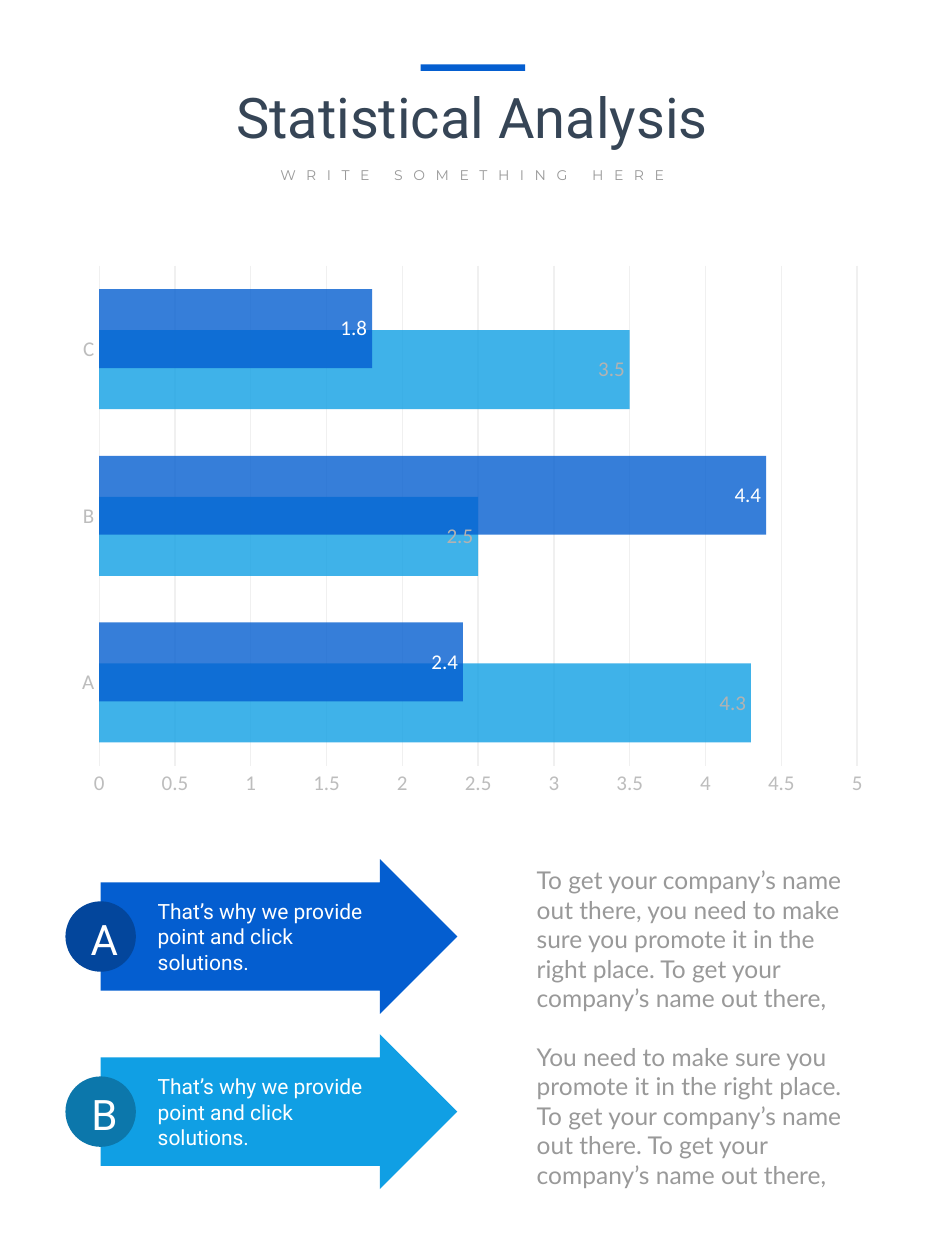
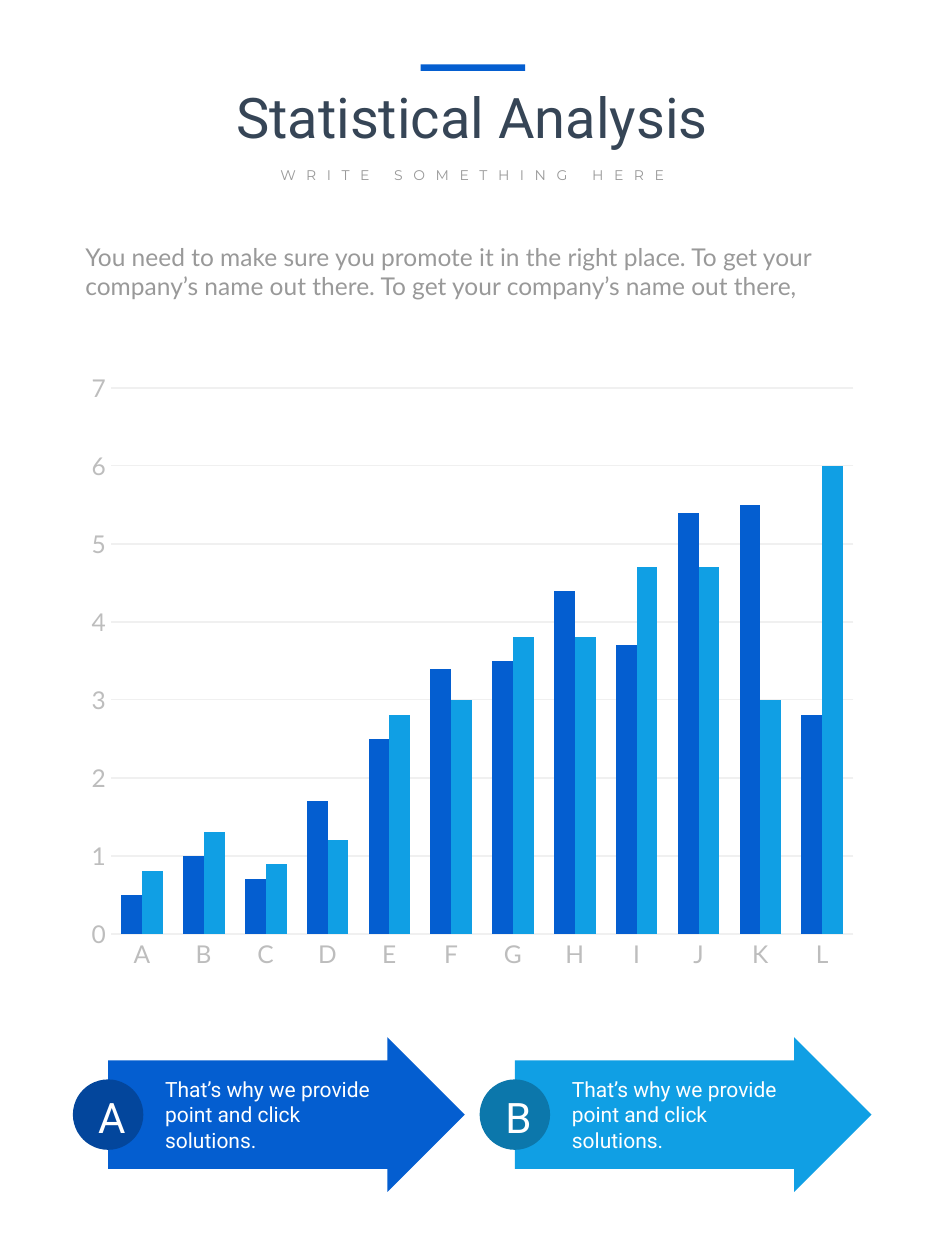
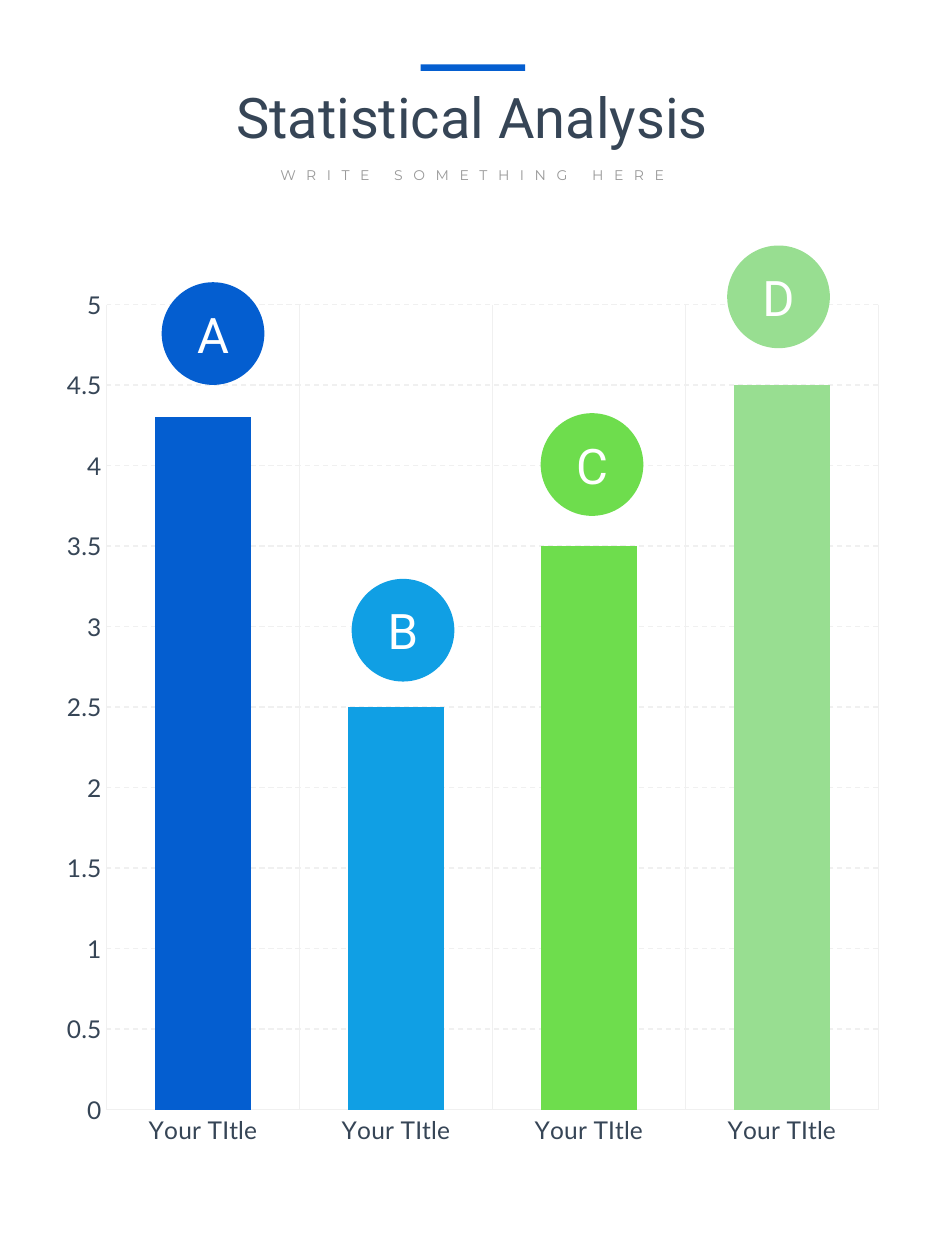
from lxml.etree import SubElement
from pptx import Presentation
from pptx.chart.data import CategoryChartData
from pptx.dml.color import RGBColor
from pptx.enum.chart import XL_CHART_TYPE, XL_LABEL_POSITION, XL_TICK_MARK
from pptx.enum.dml import MSO_LINE
from pptx.enum.shapes import MSO_SHAPE
from pptx.enum.text import MSO_ANCHOR, MSO_AUTO_SIZE, PP_ALIGN
from pptx.oxml import parse_xml
from pptx.oxml.ns import nsdecls, qn
from pptx.util import Cm, Pt

BLUE, SKY, GREEN, MINT = "045ED0", "109FE4", "6EDD4D", "98DE91"
NAVY, TEAL = "03469C", "0C77AB"
INK, GRAY, PALE, GRID, WHITE = "364556", "999999", "BDBDBD", "F0F0F0", "FFFFFF"

TITLE, SUBTITLE = "Statistical Analysis", "WRITE SOMETHING HERE"
SLOGAN = "That’s why we provide point and click solutions."
PROMOTE = ("To get your company’s name out there, you need to make sure you promote it "
           "in the right place. To get your company’s name out there,")
PLACE = ("You need to make sure you promote it in the right place. To get your company’s "
         "name out there. To get your company’s name out there,")
ARROW_STYLES = [("A", BLUE, NAVY), ("B", SKY, TEAL)]

BARS = dict(
    kind=XL_CHART_TYPE.BAR_CLUSTERED, cats="ABC",
    series=[(SKY, [4.3, 2.5, 3.5]), (BLUE, [2.4, 4.4, 1.8])],
    box=(1.32, 5.13, 16.41, 11.13), plot=(2, 5.36, 15.28, 10.08),
    top=5, step=0.5, gap=59, overlap=48, font="Calibri", size=12,
    opacity=80, labels=["B2B2B2", WHITE])
COLUMNS = dict(
    kind=XL_CHART_TYPE.COLUMN_CLUSTERED, cats="ABCDEFGHIJKL",
    series=[(BLUE, [0.5, 1, 0.7, 1.7, 2.5, 3.4, 3.5, 4.4, 3.7, 5.4, 5.5, 2.8]),
            (SKY, [0.8, 1.3, 0.9, 1.2, 2.8, 3, 3.8, 3.8, 4.7, 4.7, 3, 6])],
    box=(1.52, 7.29, 15.98, 12.5), plot=(2.24, 7.82, 14.96, 11.01),
    top=7, step=1, gap=97)
TITLED_COLUMNS = dict(
    kind=XL_CHART_TYPE.COLUMN_CLUSTERED, cats=["Your TItle"] * 4,
    series=[(BLUE, [4.3, 2.5, 3.5, 4.5])],
    box=(1.02, 5.49, 17.04, 17.96), plot=(2.15, 6.14, 15.56, 16.23),
    top=5, step=0.5, gap=101, overlap=100, color=INK,
    points=[BLUE, SKY, GREEN, MINT], grid_box=True)
BUBBLES = [("A", BLUE, 3.26, 5.69), ("B", SKY, 7.09, 11.67),
           ("C", GREEN, 10.9, 8.33), ("D", MINT, 14.66, 4.95)]


def rgb(color):
    return RGBColor.from_string(color)


def cm(values):
    return [Cm(v) for v in values]


def write(tf, *texts, size=14, font="Lato", color=GRAY, align=PP_ALIGN.LEFT,
          anchor=MSO_ANCHOR.TOP, wrap=True, spacing=None, gap=0, insets=None):
    tf.word_wrap = wrap
    tf.auto_size = MSO_AUTO_SIZE.NONE
    tf.vertical_anchor = anchor
    if insets:
        tf.margin_left, tf.margin_top, tf.margin_right, tf.margin_bottom = cm(insets)
    for i, text in enumerate(texts):
        p = tf.add_paragraph() if i else tf.paragraphs[0]
        p.alignment = align
        if i:
            p.space_before = Pt(gap)
        r = p.add_run()
        r.text = text
        r.font.size, r.font.name = Pt(size), font
        r.font.color.rgb = rgb(color)
        if spacing:
            r.font._element.set("spc", str(spacing * 100))


def add_text(shapes, box, *texts, **fmt):
    tb = shapes.add_textbox(*cm(box))
    write(tb.text_frame, *texts, **fmt)


def add_shape(shapes, preset, box, fill):
    sp = shapes.add_shape(preset, *cm(box))
    sp.shadow.inherit = False
    sp.fill.solid()
    sp.fill.fore_color.rgb = rgb(fill)
    sp.line.fill.background()
    return sp


def add_circle(shapes, letter, fill, x, y, diameter, size, insets):
    sp = add_shape(shapes, MSO_SHAPE.OVAL, (x, y, diameter, diameter), fill)
    write(sp.text_frame, letter, size=size, font="Roboto", color=WHITE,
          align=PP_ALIGN.CENTER, anchor=MSO_ANCHOR.MIDDLE, wrap=False, insets=insets)


def add_arrow(s, x, y, letter, fill, dark):
    shapes = s.shapes.add_group_shape().shapes
    sp = add_shape(shapes, MSO_SHAPE.RIGHT_ARROW, (x, y, 7.19, 3.12), fill)
    sp.adjustments[0], sp.adjustments[1] = 0.7, 0.5
    write(sp.text_frame, SLOGAN, size=12, font="Roboto", color=WHITE,
          anchor=MSO_ANCHOR.MIDDLE, insets=(1.15, 0, 0.78, 0))
    add_circle(shapes, letter, dark, x - 0.71, y + 0.85, 1.42, 24, (0.15, 0.1, 0, 0))


def add_titled_slide(prs):
    s = prs.slides.add_slide(prs.slide_layouts[5])
    title = s.shapes.title
    title.left, title.top, title.width, title.height = cm((4.01, 1.52, 11.02, 1.63))
    write(title.text_frame, TITLE, size=32, font="Roboto", color=INK,
          align=PP_ALIGN.CENTER, anchor=MSO_ANCHOR.MIDDLE)
    add_text(s.shapes, (5.18, 3.23, 8.69, 0.61), SUBTITLE, size=8, font="Montserrat",
             align=PP_ALIGN.CENTER, spacing=6)
    add_shape(s.shapes, MSO_SHAPE.RECTANGLE, (8.48, 1.3, 2.11, 0.13), BLUE)
    return s


def style_line(line, dash=None):
    line.color.rgb = rgb(GRID)
    line.width = Pt(0.75)
    if dash:
        line.dash_style = dash


def paint(fmt, color, opacity=100):
    fmt.fill.solid()
    fmt.fill.fore_color.rgb = rgb(color)
    if opacity < 100:
        clr = fmt._element.find(".//" + qn("a:srgbClr"))
        SubElement(clr, qn("a:alpha"), val=str(opacity * 1000))


def place_plot(chart, box, plot):
    area = chart._chartSpace.find(".//" + qn("c:plotArea"))
    for old in area.findall(qn("c:layout")):
        area.remove(old)
    x, y = (plot[0] - box[0]) / box[2], (plot[1] - box[1]) / box[3]
    w, h = plot[2] / box[2], plot[3] / box[3]
    parts = "".join(f'<c:{tag} val="{val}"/>' for tag, val in (
        ("layoutTarget", "inner"), ("xMode", "edge"), ("yMode", "edge"),
        ("x", x), ("y", y), ("w", w), ("h", h)))
    area.insert(0, parse_xml(f'<c:layout {nsdecls("c")}><c:manualLayout>{parts}'
                             '</c:manualLayout></c:layout>'))


def add_chart(s, kind, cats, series, box, plot, top, step, gap, overlap=0, font="Lato",
              size=14, color=PALE, opacity=100, labels=(), points=(), grid_box=False):
    data = CategoryChartData()
    data.categories = list(cats)
    for i, (_, values) in enumerate(series, 1):
        data.add_series(f"Series {i}", values)
    chart = s.shapes.add_chart(kind, *cm(box), data).chart
    chart.has_title = chart.has_legend = False
    chart.font.name, chart.font.size = font, Pt(size)
    chart.font.color.rgb = rgb(GRAY)
    place_plot(chart, box, plot)

    cat, val = chart.category_axis, chart.value_axis
    for axis in (cat, val):
        axis.major_tick_mark = axis.minor_tick_mark = XL_TICK_MARK.NONE
        axis.tick_labels.font.name = font
        axis.tick_labels.font.size = Pt(size)
        axis.tick_labels.font.color.rgb = rgb(color)
    style_line(cat.format.line)
    cat.has_major_gridlines = grid_box
    if grid_box:
        style_line(cat.major_gridlines.format.line)
    val.minimum_scale, val.maximum_scale, val.major_unit = 0, top, step
    val.format.line.fill.background()
    val.has_major_gridlines = True
    style_line(val.major_gridlines.format.line, MSO_LINE.DASH if grid_box else None)

    bars = chart.plots[0]
    bars.gap_width, bars.overlap, bars.vary_by_categories = gap, overlap, False
    for ser, (fill, _) in zip(bars.series, series):
        ser.invert_if_negative = False
        paint(ser.format, fill, opacity)
        for i, point_fill in enumerate(points):
            paint(ser.points[i].format, point_fill)
    for ser, label_color in zip(bars.series, labels):
        dl = ser.data_labels
        dl.show_value, dl.position = True, XL_LABEL_POSITION.INSIDE_END
        dl.font.name, dl.font.size = font, Pt(size)
        dl.font.color.rgb = rgb(label_color)


def main():
    prs = Presentation()
    prs.slide_width, prs.slide_height = Cm(19.05), Cm(25.4)

    s = add_titled_slide(prs)
    add_chart(s, **BARS)
    for i, style in enumerate(ARROW_STYLES):
        add_arrow(s, 2.03, 17.32 + 3.53 * i, *style)
    add_text(s.shapes, (10.57, 17.32, 7.14, 6.83), PROMOTE, PLACE, gap=16.8)

    s = add_titled_slide(prs)
    add_chart(s, **COLUMNS)
    for i, style in enumerate(ARROW_STYLES):
        add_arrow(s, 2.18 + 8.2 * i, 20.91, *style)
    add_text(s.shapes, (1.47, 4.75, 15.57, 1.45), PLACE)

    s = add_titled_slide(prs)
    add_chart(s, **TITLED_COLUMNS)
    for letter, fill, x, y in BUBBLES:
        add_circle(s.shapes, letter, fill, x, y, 2.07, 28, (0, 0, 0, 0))

    prs.save("out.pptx")


if __name__ == "__main__":
    main()
